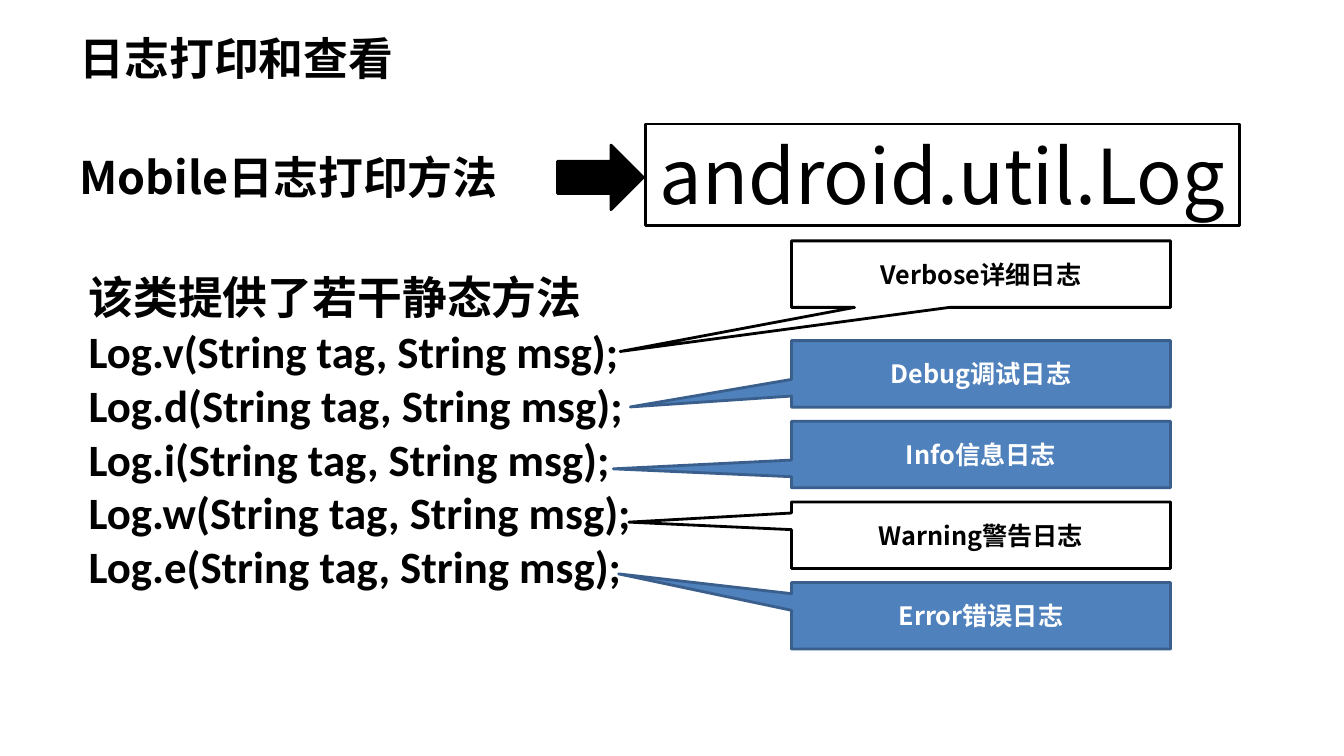
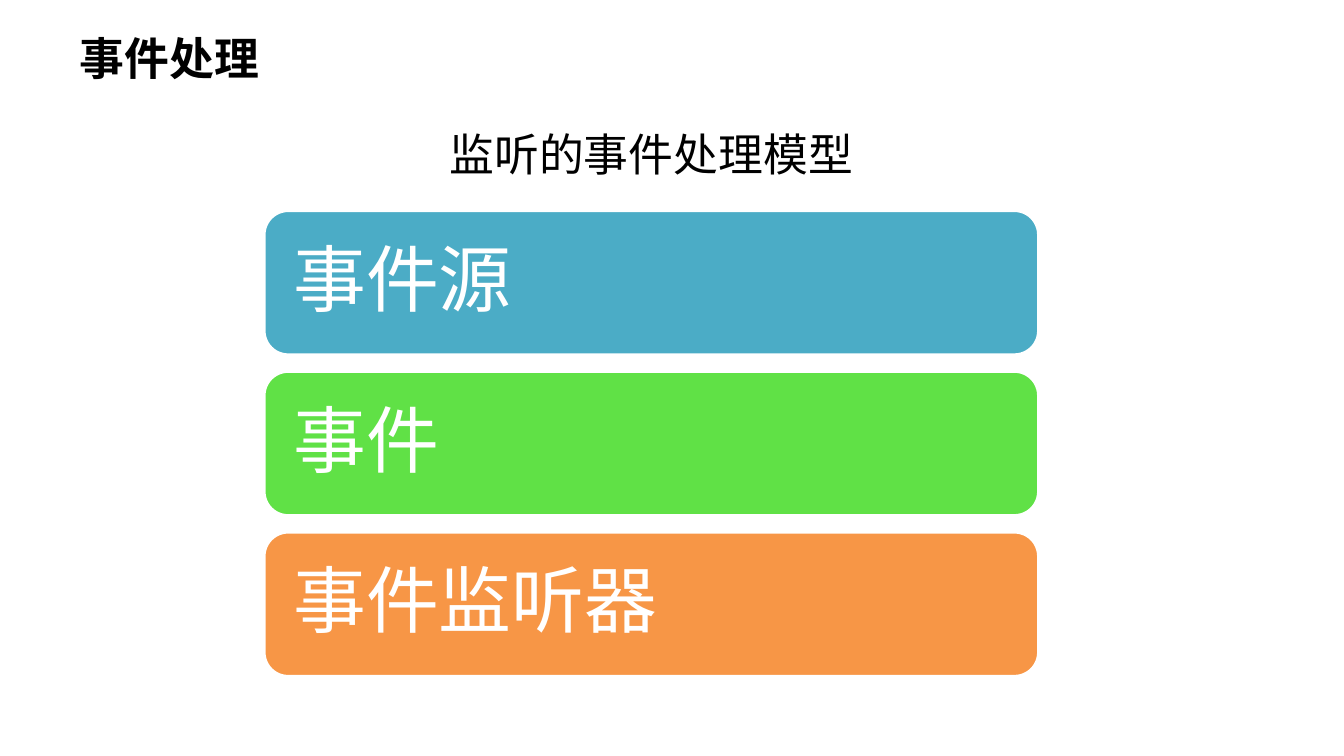
from dataclasses import dataclass

from lxml import etree
from pptx import Presentation
from pptx.dml.color import RGBColor
from pptx.enum.shapes import MSO_SHAPE
from pptx.enum.text import MSO_ANCHOR, MSO_AUTO_SIZE, PP_ALIGN
from pptx.oxml.ns import qn
from pptx.util import Inches, Pt

RECTANGLE = MSO_SHAPE.RECTANGLE
ROUNDED = MSO_SHAPE.ROUNDED_RECTANGLE
ARROW = MSO_SHAPE.RIGHT_ARROW
CALLOUT = MSO_SHAPE.RECTANGULAR_CALLOUT
TOP, MIDDLE = MSO_ANCHOR.TOP, MSO_ANCHOR.MIDDLE
LEFT, CENTER = PP_ALIGN.LEFT, PP_ALIGN.CENTER
NO_AUTOFIT = MSO_AUTO_SIZE.NONE
TITLE_ONLY = 5


@dataclass(frozen=True)
class Theme:
    black: str = "000000"
    white: str = "FFFFFF"
    blue: str = "4F81BD"
    blue_edge: str = "3A5F8C"
    teal: str = "4BACC6"
    green: str = "60E146"
    orange: str = "F79646"
    latin: str = "Calibri"
    chinese: str = "Noto Sans CJK SC"
    label: int = 18
    heading: int = 32
    band: int = 52
    display: int = 54
    line: int = 2


THEME = Theme()
TITLE_BOX = (0.69, 0.25, 5.18, 0.64)
PLAIN = (THEME.white, THEME.black, THEME.black)
FILLED = (THEME.blue, THEME.blue_edge, THEME.white)
LEVELS = [
    ("Verbose详细日志", "v", PLAIN, (-0.952, 1.163)),
    ("Debug调试日志", "d", FILLED, (-0.925, 0.497)),
    ("Info信息日志", "i", FILLED, (-0.97, 0.215)),
    ("Warning警告日志", "w", PLAIN, (-0.929, -0.196)),
    ("Error错误日志", "e", FILLED, (-0.956, -0.631)),
]
EVENT_PARTS = [
    ("事件源", THEME.teal),
    ("事件", THEME.green),
    ("事件监听器", THEME.orange),
]


def rgb(value):
    return RGBColor.from_string(value)


def set_attributes(target, values):
    for name, value in values.items():
        setattr(target, name, value)


def write_text(shape, lines, size, color=THEME.black, font=THEME.chinese,
               bold=False, align=LEFT, anchor=TOP, wrap=True, spacing=None):
    frame = shape.text_frame
    set_attributes(frame, {"auto_size": NO_AUTOFIT, "word_wrap": wrap,
                           "vertical_anchor": anchor})
    for index, line in enumerate(lines):
        para = frame.add_paragraph() if index else frame.paragraphs[0]
        set_attributes(para, {"alignment": align, "line_spacing": spacing})
        span = para.add_run()
        span.text = line
        set_attributes(span.font, {"name": font, "size": Pt(size), "bold": bold})
        span.font.color.rgb = rgb(color)
        east_asian = etree.SubElement(span.font._element, qn("a:ea"))
        east_asian.set("typeface", THEME.chinese)


def add_text(page, box, lines, **style):
    shape = page.shapes.add_textbox(*map(Inches, box))
    write_text(shape, lines, THEME.heading, **style)


def add_block(page, kind, box, fill, edge):
    shape = page.shapes.add_shape(kind, *map(Inches, box))
    shape.shadow.inherit = False
    shape.fill.solid()
    shape.fill.fore_color.rgb = rgb(fill)
    shape.line.color.rgb = rgb(edge)
    shape.line.width = Pt(THEME.line)
    return shape


def add_page(deck, title):
    page = deck.slides.add_slide(deck.slide_layouts[TITLE_ONLY])
    holder = page.shapes.title
    names = ("left", "top", "width", "height")
    set_attributes(holder, dict(zip(names, map(Inches, TITLE_BOX))))
    write_text(holder, [title], THEME.heading, bold=True)
    return page


def add_class_banner(page, box):
    left, top, width, height = box
    class_left = left + 5.71
    add_text(page, (left, top + 0.21, 4.84, 0.64), ["Mobile日志打印方法"], bold=True)
    class_box = (class_left, top, width - 5.71, height)
    class_name = add_block(page, RECTANGLE, class_box, THEME.white, THEME.black)
    write_text(class_name, ["android.util.Log"], THEME.display, align=CENTER, wrap=False)
    arrow_box = (class_left - 0.87, top + 0.21, 0.85, 0.64)
    add_block(page, ARROW, arrow_box, THEME.black, THEME.black)


def add_method_list(page, box):
    calls = [f"Log.{letter}(String tag, String msg);" for _, letter, _, _ in LEVELS]
    add_text(page, box, ["该类提供了若干静态方法", *calls], font=THEME.latin, bold=True)


def add_level_callouts(page, box):
    left, top, width, height = box
    callout_height, step = 0.66, 0.8
    last_top = top + height - callout_height
    for index, (label, _, colors, tip) in enumerate(LEVELS):
        fill, edge, ink = colors
        callout_top = last_top - step * (len(LEVELS) - 1 - index) if index else top
        callout = add_block(page, CALLOUT, (left, callout_top, width, callout_height),
                            fill, edge)
        callout.adjustments[0], callout.adjustments[1] = tip
        write_text(callout, [label], THEME.label, ink, bold=True,
                   align=CENTER, anchor=MIDDLE)


def add_event_bands(page, box):
    left, top, width, height = box
    band_height = 1.43
    step = (height - band_height) / (len(EVENT_PARTS) - 1)
    margins = ("margin_left", "margin_top", "margin_right", "margin_bottom")
    for index, (label, fill) in enumerate(EVENT_PARTS):
        band = add_block(page, ROUNDED, (left, top + index * step, width, band_height),
                         fill, THEME.white)
        set_attributes(band.text_frame, dict.fromkeys(margins, Inches(0.22)))
        write_text(band, [label], THEME.band, THEME.white, THEME.latin,
                   anchor=MIDDLE, spacing=0.9)


def build_logging_page(deck):
    page = add_page(deck, "日志打印和查看")
    add_class_banner(page, (0.69, 1.23, 11.6, 1.01))
    add_method_list(page, (0.78, 2.63, 6.54, 3.33))
    add_level_callouts(page, (7.85, 2.39, 3.76, 4.05))


def build_event_page(deck):
    page = add_page(deck, "事件处理")
    add_text(page, (4.34, 1.21, 4.24, 0.64), ["监听的事件处理模型"],
             font=THEME.latin, align=CENTER, wrap=False)
    add_event_bands(page, (2.62, 2.09, 7.68, 4.62))


def main():
    deck = Presentation()
    deck.slide_width, deck.slide_height = Inches(13.33), Inches(7.5)
    build_logging_page(deck)
    build_event_page(deck)
    deck.save("out.pptx")


if __name__ == "__main__":
    main()
